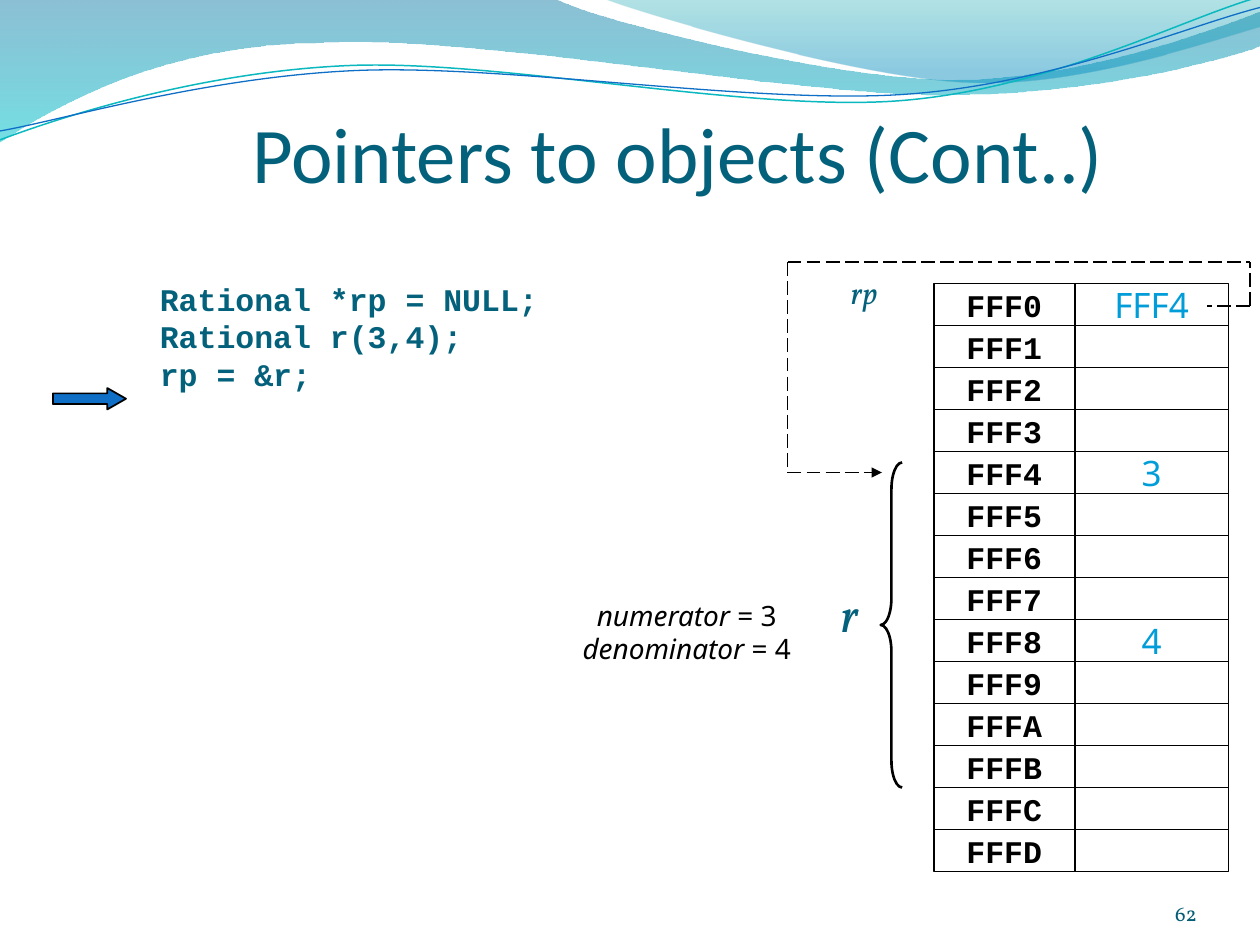
import math
import pptx
import pptx.util
import pptx.dml.color
import pptx.enum.dml
import pptx.enum.shapes
import pptx.enum.text
import pptx.oxml
import pptx.oxml.ns
from pptx.util import Inches, Pt

THEME = {
    "ink": "000000", "title": "04617B", "number": "045D75", "value": "009DD9",
    "blue": "0F6FC6", "teal": "0AB8BF",
    "code": {"name": "Courier New", "size": Pt(18), "bold": True},
    "heading": {"name": "Calibri", "size": Pt(45)},
    "cell": {"name": "Noto Sans", "size": Pt(20)},
    "fields": {"name": "Noto Sans", "size": Pt(16)},
    "object": {"name": "Vollkorn", "size": Pt(28), "italic": True},
    "pointer": {"name": "Vollkorn", "size": Pt(18), "italic": True},
    "page": {"name": "Vollkorn", "size": Pt(12)},
}
ALIGN = pptx.enum.text.PP_ALIGN
ANCHOR = pptx.enum.text.MSO_ANCHOR
SHAPE = pptx.enum.shapes.MSO_SHAPE

# Content
TITLE = "Pointers to objects (Cont..)"
PAGE = "62"
CODE = ["Rational *rp = NULL;", "Rational r(3,4);", "rp = &r;"]
FIELDS = [("numerator", " = 3"), ("denominator", " = 4")]
ADDRESSES = [f"FFF{digit}" for digit in "0123456789ABCD"]
VALUES = {"FFF0": "FFF4", "FFF4": "3", "FFF8": "4"}
POINTER_ROUTE = [((9.92, 2.43), (9.58, 2.43)), ((9.92, 2.43), (9.92, 2.08)),
                 ((6.25, 2.08), (9.92, 2.08)), ((6.25, 2.08), (6.25, 3.75)),
                 ((6.25, 3.75), (7, 3.75))]

# Each step holds two numbers for a line, six for a curve
BANDS = [
    {"steps": [(0, -0.01), (4.4, -0.01), (4.76, 0.17, 6.64, 0.63, 7.58, 0.63),
               (8.53, 0.63, 9.58, 0.26, 10, 0.09), (10.01, 0.36),
               (9.83, 0.44, 8.7, 0.76, 7.46, 0.75),
               (6.22, 0.75, 3.82, 0.28, 2.57, 0.34),
               (1.29, 0.35, 0.46, 0.83, -0.01, 1.13)],
     "stops": [(0, "0074A1", 45), (1, "00C6CF", 55)]},
    {"steps": [(4.79, -0.01), (5.09, 0.11, 6.82, 0.62, 7.69, 0.65),
               (8.56, 0.69, 9.61, 0.32, 10, 0.21), (10, 0)],
     "stops": [(0, "00A1A9", 30), (0.8, "008BBF", 45)]},
]
TILT = 357.3
CURVES = [
    {"steps": [(0, 1.11), (0.48, 0.93, 1.58, 0.57, 2.77, 0.52),
               (3.95, 0.47, 5.93, 0.89, 7.13, 0.8),
               (8.33, 0.71, 9.38, 0.15, 9.98, -0.02)],
     "center": (4.99, 0.58), "line": ("teal", 0.85)},
    {"steps": [(0, 1.04), (0.47, 0.96, 1.64, 0.61, 2.83, 0.56),
               (4.03, 0.51, 5.97, 0.83, 7.17, 0.75),
               (8.36, 0.67, 9.41, 0.21, 10, 0.06)],
     "center": (5, 0.59), "line": ("blue", 0.75)},
]


def rgb(value):
    """Return a colour from a theme name or a hex value."""
    return pptx.dml.color.RGBColor.from_string(THEME.get(value, value))


def set_line(sp, color="ink", width=1):
    """Give a shape or connector a solid line."""
    sp.line.color.rgb = rgb(color)
    sp.line.width = Pt(width)


def add_xml(parent, tag, **attributes):
    """Append one DrawingML element."""
    child = pptx.oxml.parse_xml(f"<a:{tag} {pptx.oxml.ns.nsdecls('a')}/>")
    for name, value in attributes.items():
        child.set(name, value)
    parent.append(child)


def write(sp, lines, style, color, align=ALIGN.LEFT, anchor=ANCHOR.TOP,
          wrap=True, insets=(0.1, 0.05, 0.1, 0.05)):
    """Fill a shape with lines, each a string or (italic, upright) parts."""
    tf = sp.text_frame
    frame = {"word_wrap": wrap, "vertical_anchor": anchor}
    for side, inset in zip(("left", "top", "right", "bottom"), insets):
        frame[f"margin_{side}"] = Inches(inset)
    for name, value in frame.items():
        setattr(tf, name, value)
    for i, line in enumerate(lines):
        p = tf.paragraphs[0] if i == 0 else tf.add_paragraph()
        p.alignment = align
        parts = (line,) if isinstance(line, str) else line
        for j, part in enumerate(parts):
            r = p.add_run()
            r.text = part
            for name, value in THEME[style].items():
                setattr(r.font, name, value)
            if len(parts) > 1:
                r.font.italic = j == 0
            r.font.color.rgb = rgb(color)
    return tf


def add_text(slide, box, lines, style, color, **options):
    """Add a text box."""
    sp = slide.shapes.add_textbox(*map(Inches, box))
    return write(sp, lines, style, color, **options)


def add_preset(slide, kind, box, fill=None, width=1):
    """Add an outlined preset shape."""
    sp = slide.shapes.add_shape(kind, *map(Inches, box))
    sp.shadow.inherit = False
    if fill:
        sp.fill.solid()
        sp.fill.fore_color.rgb = rgb(fill)
    else:
        sp.fill.background()
    set_line(sp, width=width)
    return sp


def turn(point, center, degrees):
    """Turn a point clockwise about a centre."""
    angle = math.radians(degrees)
    dx, dy = point[0] - center[0], point[1] - center[1]
    return (center[0] + dx * math.cos(angle) - dy * math.sin(angle),
            center[1] + dx * math.sin(angle) + dy * math.cos(angle))


def add_outline(shapes, steps, close, center=(0, 0), tilt=0):
    """Draw a freeform of lines and cubic curves, tilted about its centre."""
    points = [turn(step[k:k + 2], center, -tilt)
              for step in steps for k in range(0, len(step), 2)]
    points = [(Inches(x), Inches(y)) for x, y in points]
    builder = shapes.build_freeform(*points[0])
    builder.add_line_segments(points[1:], close=close)
    sp = builder.convert_to_shape()
    sp.shadow.inherit = False
    sp.rotation = tilt
    segments = iter(list(sp._element.iter(pptx.oxml.ns.qn("a:lnTo"))))
    for step in steps[1:]:
        group = [next(segments) for _ in range(len(step) // 2)]
        if len(group) == 3:
            add_xml(group[0].getparent(), "cubicBezTo")
            curve = group[0].getparent()[-1]
            group[0].addprevious(curve)
            for segment in group:
                curve.append(segment[0])
                segment.getparent().remove(segment)
    return sp


def add_band(slide, band):
    """Draw a translucent gradient band."""
    sp = add_outline(slide.shapes, band["steps"], True)
    sp.line.fill.background()
    sp.fill.gradient()
    sp.fill.gradient_angle = 270
    for stop, (position, color, _) in zip(sp.fill.gradient_stops, band["stops"]):
        stop.position = position
        stop.color.rgb = rgb(color)
    colors = list(sp._element.spPr.iter(pptx.oxml.ns.qn("a:srgbClr")))
    for color, (_, _, opacity) in zip(colors, band["stops"]):
        add_xml(color, "alpha", val=str(opacity * 1000))


def add_memory(slide, left=7.41, top=2.25, widths=(1.12, 1.22), height=1 / 3):
    """Draw the memory cells, address beside value."""
    for row, address in enumerate(ADDRESSES):
        x = left
        cells = ((address, "code", "ink"), (VALUES.get(address), "cell", "value"))
        for width, (text, style, color) in zip(widths, cells):
            sp = add_preset(slide, SHAPE.RECTANGLE, (x, top + row * height, width, height))
            if text:
                write(sp, [text], style, color, align=ALIGN.CENTER,
                      anchor=ANCHOR.MIDDLE, wrap=False)
            x += width


def add_route(slide, segments):
    """Draw the dashed pointer path, ending in an arrowhead."""
    shapes = slide.shapes.add_group_shape().shapes
    for start, end in segments:
        line = shapes.add_connector(pptx.enum.shapes.MSO_CONNECTOR.STRAIGHT,
                                    *map(Inches, start + end))
        set_line(line)
        line.line.dash_style = pptx.enum.dml.MSO_LINE.LONG_DASH
        if (start, end) == segments[-1]:
            add_xml(line.line._get_or_add_ln(), "tailEnd", type="triangle")
        add_xml(line._element.spPr, "effectLst")


prs = pptx.Presentation()
prs.slide_width, prs.slide_height = Inches(10), Inches(7.5)
slide = prs.slides.add_slide(prs.slide_layouts[6])

for band in BANDS:
    add_band(slide, band)
curves = slide.shapes.add_group_shape().shapes
for curve in CURVES:
    sp = add_outline(curves, curve["steps"], False, curve["center"], TILT)
    sp.fill.background()
    set_line(sp, *curve["line"])
add_text(slide, (2, 0.35, 7.42, 1.23), [TITLE], "heading", "title",
         anchor=ANCHOR.BOTTOM, insets=(0, 0.05, 0, 0))
add_text(slide, (8.67, 6.95, 0.83, 0.4), [PAGE], "page", "number",
         align=ALIGN.RIGHT, anchor=ANCHOR.BOTTOM, insets=(0, 0, 0, 0))
code = add_text(slide, (1.17, 2.17, 4.92, 1.67), CODE, "code", "title")
for p in code.paragraphs:
    for name, value in {"marL": Inches(0.38), "indent": -Inches(0.38)}.items():
        p._p.get_or_add_pPr().set(name, str(value))
add_preset(slide, SHAPE.RIGHT_ARROW, (0.42, 3.08, 0.58, 0.17), "blue").adjustments[1] = 0.875
add_memory(slide)
add_preset(slide, SHAPE.LEFT_BRACE, (6.99, 3.67, 0.17, 2.58), width=1.5).adjustments[0] = 1.253
add_text(slide, (4.49, 4.7, 1.92, 0.64), FIELDS, "fields", "ink", align=ALIGN.CENTER)
add_route(slide, POINTER_ROUTE)
for box, name, style in (((6.67, 4.58, 0.33, 0.57), "r", "object"),
                         ((6.75, 2.12, 0.75, 0.5), "rp", "pointer")):
    add_text(slide, box, [name], style, "title", insets=(0, 0.05, 0, 0.05))

prs.save("out.pptx")
